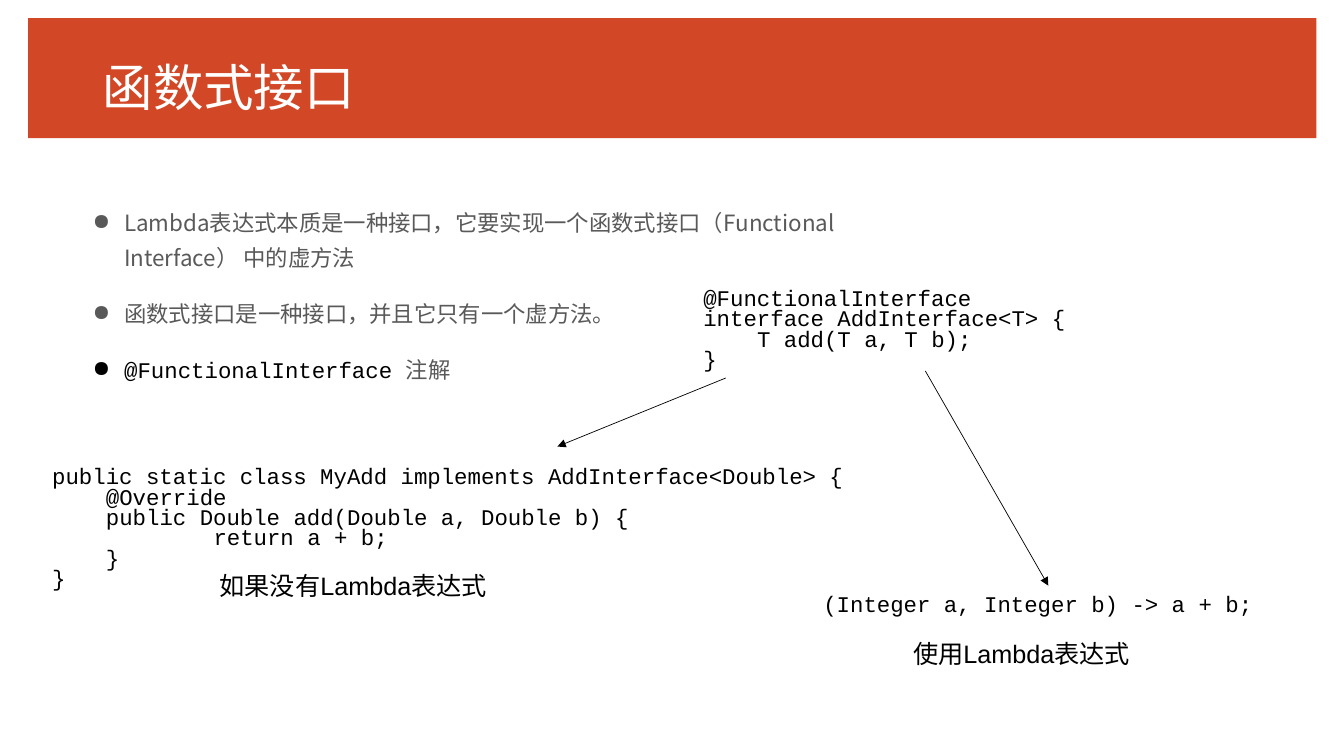
from dataclasses import dataclass

from lxml import etree
from pptx import Presentation
from pptx.dml.color import RGBColor
from pptx.enum import shapes, text
from pptx.oxml import ns
from pptx.util import Pt

ORANGE = RGBColor(0xD2, 0x47, 0x26)
WHITE = RGBColor(0xFF, 0xFF, 0xFF)
GRAY = RGBColor(0x59, 0x59, 0x59)
BLACK = RGBColor(0, 0, 0)
CJK = "Noto Sans CJK SC"
MONO = "Courier New"
SANS = "Arial"
CODE_INDENT = 30.24
CODE_STEP = 38.4
BULLET_INDENT = 22.5


@dataclass(frozen=True)
class Area:
    left: float
    top: float
    width: float
    height: float


@dataclass(frozen=True)
class Style:
    name: str
    size: float
    color: RGBColor


@dataclass(frozen=True)
class Label:
    area: Area
    words: str
    style: Style
    wrap: bool = True
    anchor: text.MSO_ANCHOR = text.MSO_ANCHOR.TOP


@dataclass(frozen=True)
class CodeBlock:
    area: Area
    lines: tuple[tuple[int, str], ...]


@dataclass(frozen=True)
class Arrow:
    start: tuple[float, float]
    end: tuple[float, float]


TITLE = Style(CJK, 36, WHITE)
BODY = Style(CJK, 16, GRAY)
CODE = Style(MONO, 16, BLACK)
CAPTION = Style(SANS, 18, BLACK)

LABELS = (
    Label(Area(66.24, 24.48, 846.72, 62.64), "函数式接口", TITLE, anchor=text.MSO_ANCHOR.BOTTOM),
    Label(Area(149.76, 403.92, 315.36, 28.8), "如果没有Lambda表达式", CAPTION),
    Label(Area(581.04, 418.32, 335.52, 26.64), "(Integer a, Integer b) -> a + b;", CODE, wrap=False),
    Label(Area(645.12, 452.16, 314.8, 28.8), "使用Lambda表达式", CAPTION),
)
BULLETS = (
    (("Lambda表达式本质是一种接口，它要实现一个函数式接口（Functional Interface） 中的虚方法", BODY),),
    (("函数式接口是一种接口，并且它只有一个虚方法。", BODY),),
    (("@FunctionalInterface ", CODE), ("注解", BODY)),
)
CODE_BLOCKS = (
    CodeBlock(Area(465.12, 207.36, 480.24, 66.24), (
        (0, "@FunctionalInterface"),
        (0, "interface AddInterface<T> {"),
        (1, "T add(T a, T b);"),
        (0, "}"),
    )),
    CodeBlock(Area(0, 334.8, 725.04, 96.48), (
        (0, "public static class MyAdd implements AddInterface<Double> {"),
        (1, "@Override"),
        (1, "public Double add(Double a, Double b) {"),
        (3, "return a + b;"),
        (1, "}"),
        (0, "}"),
    )),
)
ARROWS = (
    Arrow((518.4, 270), (398.16, 318.96)),
    Arrow((660.96, 264.96), (748.8, 418.32)),
)


def set_font(font, style: Style) -> None:
    font.name = style.name
    font.size = Pt(style.size)
    font.color.rgb = style.color


def add_box(page, area: Area, wrap: bool = True):
    box = page.shapes.add_textbox(Pt(area.left), Pt(area.top), Pt(area.width), Pt(area.height))
    box.text_frame.word_wrap = wrap
    return box.text_frame


def next_para(frame, index: int):
    return frame.paragraphs[0] if index == 0 else frame.add_paragraph()


def add_span(para, words: str):
    span = para.add_run()
    span.text = words
    east_asian = etree.SubElement(span.font._element, ns.qn("a:ea"))
    east_asian.set("typeface", CJK)
    return span


def set_indent(para, margin: float, hanging: float = 0):
    properties = para._p.get_or_add_pPr()
    properties.set("marL", str(Pt(margin)))
    properties.set("indent", str(-Pt(hanging)))
    return properties


def add_banner(page) -> None:
    banner = page.shapes.add_shape(
        shapes.MSO_SHAPE.RECTANGLE, Pt(20.16), Pt(12.96), Pt(920.16), Pt(85.68))
    banner.shadow.inherit = False
    banner.fill.solid()
    banner.fill.fore_color.rgb = ORANGE
    banner.line.fill.background()


def add_label(page, label: Label) -> None:
    frame = add_box(page, label.area, label.wrap)
    frame.vertical_anchor = label.anchor
    para = frame.paragraphs[0]
    set_font(para.font, label.style)
    add_span(para, label.words)


def add_bullets(page, area: Area) -> None:
    frame = add_box(page, area)
    frame.margin_left = frame.margin_top = frame.margin_right = frame.margin_bottom = 0
    for index, spans in enumerate(BULLETS):
        para = next_para(frame, index)
        para.line_spacing = 1.3
        para.space_before = Pt(5)
        para.space_after = Pt(10)
        properties = set_indent(para, BULLET_INDENT, BULLET_INDENT)
        etree.SubElement(properties, ns.qn("a:buChar")).set("char", "●")
        if len(spans) == 1:
            set_font(para.font, spans[0][1])
        for words, style in spans:
            span = add_span(para, words)
            if len(spans) > 1:
                set_font(span.font, style)


def add_code(page, block: CodeBlock) -> None:
    frame = add_box(page, block.area)
    for index, (depth, words) in enumerate(block.lines):
        para = next_para(frame, index)
        para.alignment = text.PP_ALIGN.JUSTIFY
        para.line_spacing = Pt(11)
        para.space_before = para.space_after = Pt(1.8)
        set_indent(para, CODE_INDENT + CODE_STEP * depth)
        set_font(para.font, CODE)
        add_span(para, words)


def add_arrow(page, arrow: Arrow) -> None:
    line = page.shapes.add_connector(
        shapes.MSO_CONNECTOR.STRAIGHT, *map(Pt, arrow.start + arrow.end))
    line.line.color.rgb = BLACK
    line.line.width = Pt(0.5)
    etree.SubElement(line.line._get_or_add_ln(), ns.qn("a:tailEnd")).set("type", "triangle")
    etree.SubElement(line._element.spPr, ns.qn("a:effectLst"))


def main() -> None:
    deck = Presentation()
    deck.slide_width = Pt(960)
    deck.slide_height = Pt(540)
    page = deck.slides.add_slide(deck.slide_layouts[6])
    add_banner(page)
    add_bullets(page, Area(66.24, 144, 561.6, 342.72))
    for block in CODE_BLOCKS:
        add_code(page, block)
    for label in LABELS:
        add_label(page, label)
    for arrow in ARROWS:
        add_arrow(page, arrow)
    deck.save("out.pptx")


main()
